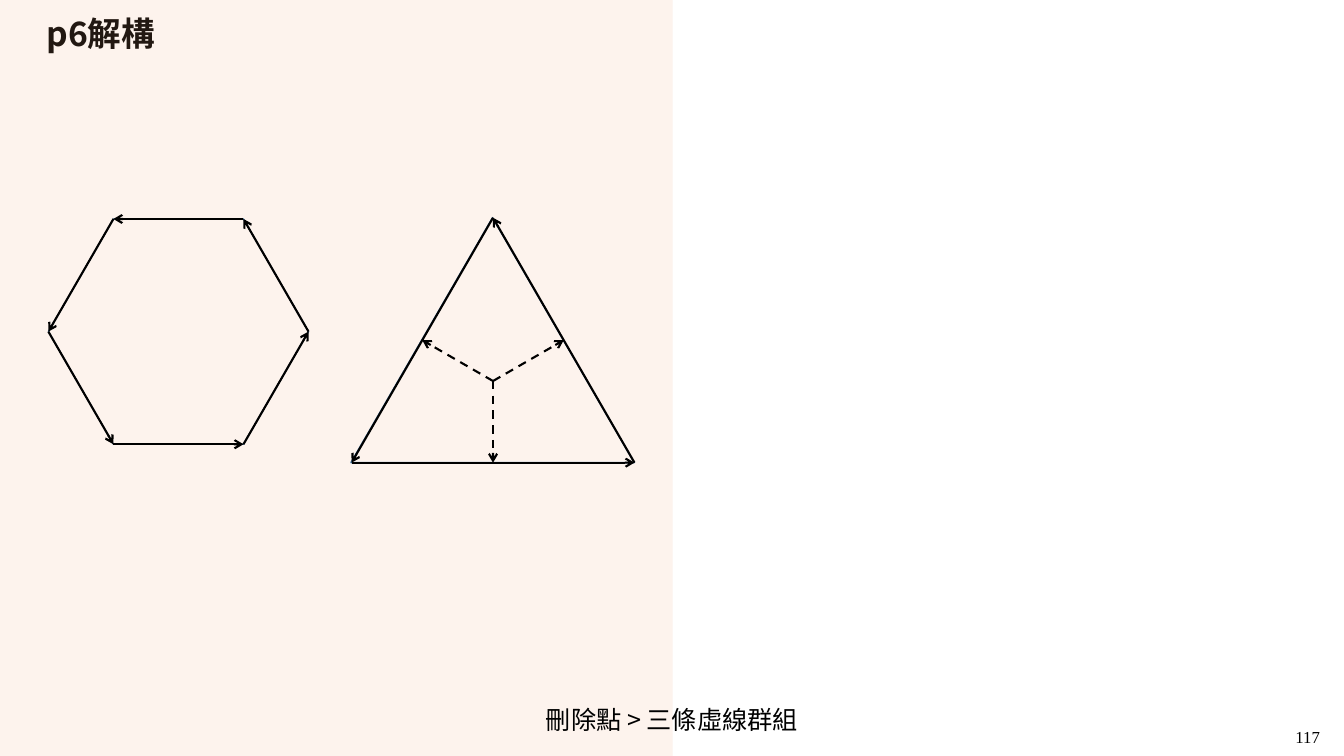
from dataclasses import dataclass
from math import cos, radians, sin

from lxml.etree import SubElement
from pptx import Presentation
from pptx.dml.color import RGBColor
from pptx.enum.dml import MSO_LINE
from pptx.enum.shapes import MSO_CONNECTOR, MSO_SHAPE
from pptx.enum.text import MSO_ANCHOR, MSO_AUTO_SIZE, PP_ALIGN
from pptx.oxml.ns import qn
from pptx.util import Inches, Pt


@dataclass(frozen=True)
class Theme:
    ink: str = "000000"
    outline: str = "43739E"
    panel: str = "F4B183"
    divider: str = "FBE5D6"
    sans: str = "Noto Sans CJK SC"
    serif: str = "Times New Roman"
    title_size: int = 24
    caption_size: int = 18
    number_size: int = 12


def polygon(cx, cy, radius, start, sides):
    angles = [radians(start + 360 * i / sides) for i in range(sides)]
    return [(cx + radius * cos(a), cy - radius * sin(a)) for a in angles]


def set_alpha(fill_element, percent):
    color = fill_element.find(".//" + qn("a:srgbClr"))
    SubElement(color, qn("a:alpha"), val=str(percent * 1000))


class SlideBuilder:
    def __init__(self, slide, theme):
        self.s = slide
        self.theme = theme

    def add_text(self, sp, text, size, font, bold=False, frame=None, para=None):
        tf = sp.text_frame
        for name, value in (frame or {}).items():
            setattr(tf, name, value)
        p = tf.paragraphs[0]
        for name, value in (para or {}).items():
            setattr(p, name, value)
        r = p.add_run()
        r.text = text
        for name, value in {"size": Pt(size), "name": font, "bold": bold}.items():
            setattr(r.font, name, value)
        r.font.color.rgb = RGBColor.from_string(self.theme.ink)
        SubElement(r.font._element, qn("a:ea"), typeface=font)

    def title(self, text, x, y, w, h):
        sp = self.s.shapes.title
        box = {"left": x, "top": y, "width": w, "height": h}
        for name, value in box.items():
            setattr(sp, name, Inches(value))
        self.add_text(sp, text, self.theme.title_size, self.theme.sans, True,
                      {"vertical_anchor": MSO_ANCHOR.MIDDLE, "word_wrap": True,
                       "auto_size": MSO_AUTO_SIZE.NONE},
                      {"alignment": PP_ALIGN.LEFT, "line_spacing": 0.9})

    def shape(self, kind, x, y, w, h):
        sp = self.s.shapes.add_shape(kind, *map(Inches, (x, y, w, h)))
        sp.shadow.inherit = False
        sp.fill.background()
        sp.line.fill.background()
        return sp

    def panel(self, x, y, w, h):
        sp = self.shape(MSO_SHAPE.RECTANGLE, x, y, w, h)
        sp.fill.solid()
        sp.fill.fore_color.rgb = RGBColor.from_string(self.theme.panel)
        set_alpha(sp._element.spPr.find(qn("a:solidFill")), 14)

    def outline(self, sp):
        sp.line.color.rgb = RGBColor.from_string(self.theme.outline)
        sp.line.width = Pt(1)

    def triangle(self, x, y, w, h):
        self.outline(self.shape(MSO_SHAPE.ISOSCELES_TRIANGLE, x, y, w, h))

    def freeform(self, points):
        corners = [(Inches(x), Inches(y)) for x, y in points]
        builder = self.s.shapes.build_freeform(*corners[0])
        builder.add_line_segments(corners[1:], close=True)
        sp = builder.convert_to_shape()
        sp.shadow.inherit = False
        sp.fill.background()
        self.outline(sp)

    def line(self, start, end, color, width, shapes=None):
        shapes = self.s.shapes if shapes is None else shapes
        cn = shapes.add_connector(MSO_CONNECTOR.STRAIGHT,
                                  *map(Inches, (*start, *end)))
        cn.line.color.rgb = RGBColor.from_string(color)
        cn.line.width = Pt(width)
        SubElement(cn._element.spPr, qn("a:effectLst"))
        return cn

    def divider(self, start, end):
        cn = self.line(start, end, self.theme.divider, 0.25)
        set_alpha(cn._element.spPr.find(qn("a:ln")), 50)

    def arrow(self, start, end, dashed=False, shapes=None):
        cn = self.line(start, end, self.theme.ink, 1.5, shapes)
        if dashed:
            cn.line.dash_style = MSO_LINE.DASH
        SubElement(cn._element.spPr.find(qn("a:ln")), qn("a:tailEnd"), type="arrow")

    def arrow_loop(self, points):
        for start, end in zip(points, points[1:] + points[:1]):
            self.arrow(start, end)

    def spokes(self, center, ends):
        group = self.s.shapes.add_group_shape()
        for end in ends:
            self.arrow(center, end, True, group.shapes)

    def caption(self, text, x, y, w, h):
        sp = self.shape(MSO_SHAPE.ROUNDED_RECTANGLE, x, y, w, h)
        self.add_text(sp, text, self.theme.caption_size, self.theme.sans,
                      frame={"vertical_anchor": MSO_ANCHOR.MIDDLE, "word_wrap": True},
                      para={"alignment": PP_ALIGN.CENTER})

    def page_number(self, text, x, y, w, h):
        sp = self.s.shapes.add_textbox(*map(Inches, (x, y, w, h)))
        self.add_text(sp, text, self.theme.number_size, self.theme.serif,
                      frame={"word_wrap": False})


def main():
    prs = Presentation()
    prs.slide_width, prs.slide_height = Inches(13.33), Inches(7.5)
    s = prs.slides.add_slide(prs.slide_layouts[5])
    b = SlideBuilder(s, Theme())

    b.panel(0, 0, 6.67, 7.5)
    b.divider((6.67, 7.5), (6.67, 0))
    b.title("p6解構", 0.36, 0.13, 5.95, 0.44)

    hexagon = polygon(1.77, 3.29, 1.29, 0, 6)
    center = (4.89, 3.78)
    triangle = polygon(*center, 1.62, 90, 3)
    midpoints = polygon(*center, 0.81, 150, 3)

    b.triangle(3.48, 2.16, 2.81, 2.43)
    b.freeform(hexagon)
    b.arrow_loop(triangle)
    b.arrow_loop(hexagon)
    b.spokes(center, midpoints)

    b.caption("刪除點 > 三條虛線群組", 5.26, 6.91, 2.81, 0.45)
    b.page_number("117", 12.75, 7.16, 0.45, 0.3)
    prs.save("out.pptx")


if __name__ == "__main__":
    main()
